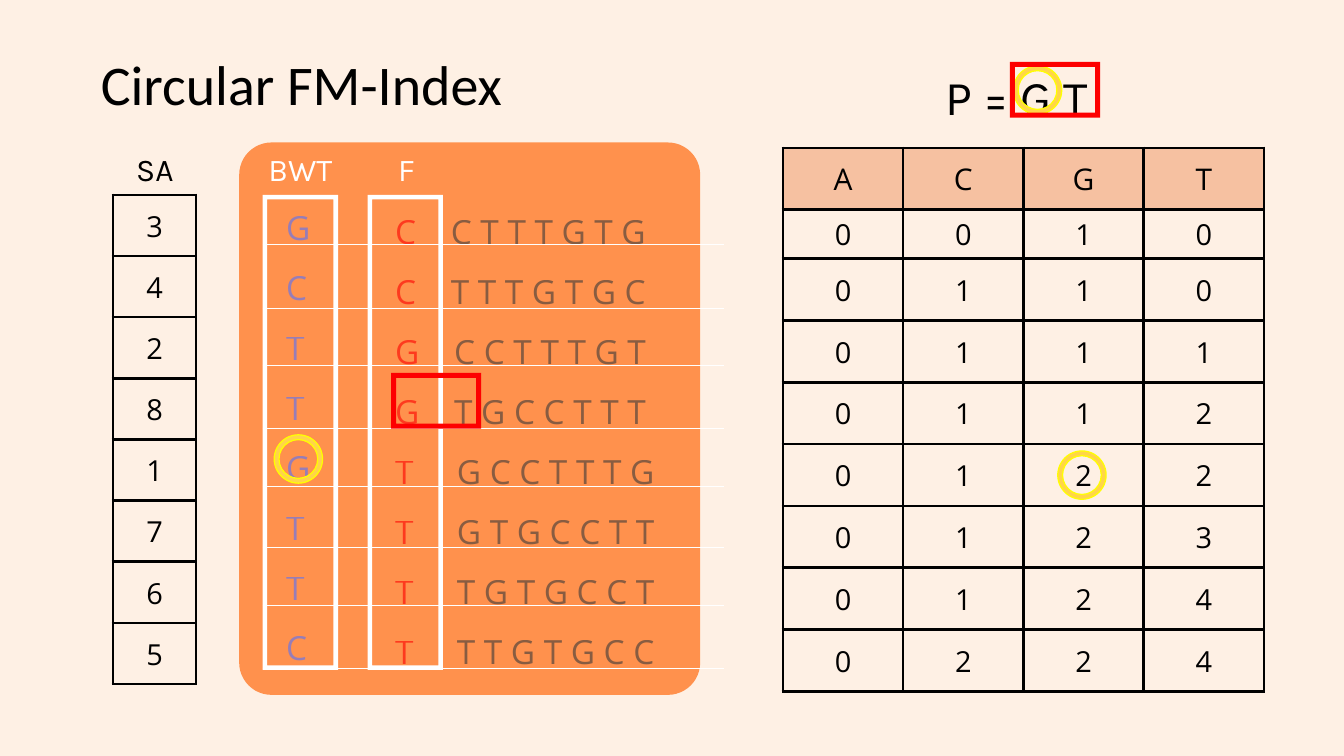
from typing import NamedTuple

from lxml import etree
from pptx import Presentation
from pptx.dml.color import RGBColor
from pptx.enum.shapes import MSO_CONNECTOR, MSO_SHAPE
from pptx.enum.text import MSO_ANCHOR, MSO_AUTO_SIZE, PP_ALIGN
from pptx.oxml.ns import qn
from pptx.util import Inches, Pt

LEFT, CENTER = PP_ALIGN.LEFT, PP_ALIGN.CENTER
TOP, MIDDLE = MSO_ANCHOR.TOP, MSO_ANCHOR.MIDDLE
ROUNDED, FRAME, DONUT = MSO_SHAPE.ROUNDED_RECTANGLE, MSO_SHAPE.FRAME, MSO_SHAPE.DONUT
STRAIGHT = MSO_CONNECTOR.STRAIGHT

CREAM = RGBColor(0xFE, 0xF0, 0xE4)
ORANGE = RGBColor(0xFF, 0x91, 0x4D)
PEACH = RGBColor(0xF6, 0xC1, 0xA1)
WHITE = RGBColor(0xFF, 0xFF, 0xFF)
BLACK = RGBColor(0, 0, 0)
RED = RGBColor(0xFD, 0, 0)
GRAY = RGBColor(0x39, 0x39, 0x39)
BLUE = RGBColor(0x52, 0x71, 0xFF)
GOLD = RGBColor(0xFF, 0xD5, 0x49)
YELLOW = RGBColor(0xFF, 0xFF, 0)


class Label(NamedTuple):
    text: str
    x: float
    y: float
    w: float
    h: float
    size: float
    spacing: float
    color: RGBColor


class Outline(NamedTuple):
    kind: MSO_SHAPE
    x: float
    y: float
    w: float
    h: float
    adjust: float
    fill: RGBColor
    line: RGBColor | None = None


LABELS = [
    Label("BWT", 3.71, 2.14, 1.52, 0.63, 34, 47.6, WHITE),
    Label("F", 5.88, 2.14, 0.34, 0.63, 34, 47.6, WHITE),
    Label("SA", 2, 2.13, 0.61, 0.66, 34, 47.6, BLACK),
    Label("P = G T", 13.57, 0.85, 3.12, 0.96, 52, 72.8, BLACK),
]
PANEL = Outline(ROUNDED, 3.56, 2.12, 6.86, 8.22, 0.07, ORANGE)
COLUMN_FRAMES = [Outline(FRAME, x, 2.9, 1.12, 7.07, 0.06, WHITE) for x in (3.91, 5.47)]
RINGS = [Outline(DONUT, x, y, 0.72, 0.72, 0.1, GOLD, YELLOW)
         for x, y in ((15.08, 0.98), (15.74, 6.71), (4.08, 6.47))]
MATCH_FRAMES = [Outline(FRAME, x, y, 1.34, 0.83, 0.09, RED)
                for x, y in ((15.03, 0.92), (5.82, 5.55))]

BWT = "GCTTGTTC"
ROTATIONS = ["C\tC T T T G T G", "C\tT T T G T G C", "G\tC C T T T G T",
             "G\tT G C C T T T", "T\tG C C T T T G", "T\tG T G C C T T",
             "T\tT G T G C C T", "T\tT T G T G C C"]
TAB_STOPS = {"C": 0.83, "G": 0.88, "T": 0.92}
RULE_YS = [3.64, 4.59, 5.44, 6.37, 7.24, 8.14, 9.01, 9.95]
SUFFIX_ARRAY = [[n] for n in "34281765"]
COUNTS = [list(row) for row in
          ("ACGT", "0010", "0110", "0111", "0112", "0122", "0123", "0124", "0224")]

prs = Presentation()
prs.slide_width, prs.slide_height = Inches(20), Inches(11.25)
s = prs.slides.add_slide(prs.slide_layouts[5])
s.background.fill.solid()
s.background.fill.fore_color.rgb = CREAM


def format_run(r, size: float, name: str, color: RGBColor, alpha: int = 100) -> None:
    for key, value in {"size": Pt(size), "name": name}.items():
        setattr(r.font, key, value)
    r.font.color.rgb = color
    if alpha < 100:
        clr = r.font.fill._xPr.find(qn("a:solidFill"))[0]
        etree.SubElement(clr, qn("a:alpha"), val=str(alpha * 1000))


def format_frame(tf, anchor=TOP) -> None:
    values = {"word_wrap": True, "auto_size": MSO_AUTO_SIZE.NONE,
              "vertical_anchor": anchor, "margin_left": 0, "margin_right": 0,
              "margin_top": 0, "margin_bottom": 0}
    for key, value in values.items():
        setattr(tf, key, value)


def add_text_box(x: float, y: float, w: float, h: float):
    tf = s.shapes.add_textbox(Inches(x), Inches(y), Inches(w), Inches(h)).text_frame
    format_frame(tf)
    return tf


def add_label(label: Label) -> None:
    p = add_text_box(label.x, label.y, label.w, label.h).paragraphs[0]
    p.alignment, p.line_spacing = CENTER, Pt(label.spacing)
    r = p.add_run()
    r.text = label.text
    format_run(r, label.size, "Karla", label.color)


def add_outline(o: Outline) -> None:
    sp = s.shapes.add_shape(o.kind, Inches(o.x), Inches(o.y), Inches(o.w), Inches(o.h))
    sp.shadow.inherit = False
    sp.adjustments[0] = o.adjust
    sp.fill.solid()
    sp.fill.fore_color.rgb = o.fill
    if o.line is None:
        sp.line.fill.background()
    else:
        sp.line.color.rgb = o.line
        sp.line.width = Pt(1.29)


def add_sequences(rows, x: float, y: float, colors: list[RGBColor]) -> None:
    """Draw one line per row; a tab separates the differently coloured parts."""
    tf = add_text_box(x, y, 4.5, 7.15)
    for i, row in enumerate(rows):
        p = tf.paragraphs[0] if i == 0 else tf.add_paragraph()
        p.alignment, p.line_spacing = LEFT, Pt(64.3)
        first, tab, rest = row.partition("\t")
        if tab:
            tabs = etree.SubElement(p._p.get_or_add_pPr(), qn("a:tabLst"))
            etree.SubElement(tabs, qn("a:tab"), pos=str(Inches(TAB_STOPS[first])), algn="l")
        for text, color in zip((first, tab + rest), colors):
            r = p.add_run()
            r.text = text
            format_run(r, 35.7, "Open Sans", color, alpha=60)


def add_borders(cell) -> None:
    tcPr = cell._tc.get_or_add_tcPr()
    for side in ("a:lnL", "a:lnR", "a:lnT", "a:lnB"):
        ln = etree.SubElement(tcPr, qn(side), w=str(Pt(3)))
        fill = etree.SubElement(ln, qn("a:solidFill"))
        etree.SubElement(fill, qn("a:srgbClr"), val=str(BLACK))


def add_grid(rows: list[list[str]], x: float, y: float, col_w: float,
             heights: list[float], margin: float, header: bool) -> None:
    n = len(rows[0])
    table = s.shapes.add_table(len(rows), n, Inches(x), Inches(y),
                               Inches(col_w * n), Inches(sum(heights))).table
    table.first_row = table.horz_banding = False
    for col in table.columns:
        col.width = Inches(col_w)
    for i, (row, height) in enumerate(zip(rows, heights)):
        table.rows[i].height = Inches(height)
        is_head = header and i == 0
        for j, text in enumerate(row):
            cell = table.cell(i, j)
            cell.vertical_anchor = MIDDLE
            for side in ("left", "right", "top", "bottom"):
                setattr(cell, f"margin_{side}", Inches(margin))
            add_borders(cell)
            if is_head:
                cell.fill.solid()
                cell.fill.fore_color.rgb = PEACH
            else:
                cell.fill.background()
            p = cell.text_frame.paragraphs[0]
            p.alignment, p.line_spacing = CENTER, Pt(44.8 if is_head else 43.4)
            r = p.add_run()
            r.text = text
            format_run(r, 32 if is_head else 31, "Open Sans", BLACK)


# Title
title = s.shapes.title
title.left, title.top, title.width, title.height = map(Inches, (1.5, 0.73, 9.54, 1.01))
format_frame(title.text_frame)
p = title.text_frame.paragraphs[0]
p.alignment = LEFT
r = p.add_run()
r.text = "Circular FM-Index"
format_run(r, 60, "Calibri", BLACK)

# Rotations panel
add_outline(PANEL)
add_sequences(ROTATIONS, 5.88, 2.85, [RED, GRAY])
add_sequences(BWT, 4.26, 2.79, [BLUE])
for frame in COLUMN_FRAMES:
    add_outline(frame)
for y in RULE_YS:
    rule = s.shapes.add_connector(STRAIGHT, Inches(3.91), Inches(y), Inches(10.77), Inches(y))
    rule.line.color.rgb = WHITE
    rule.line.width = Pt(0.75)
    etree.SubElement(rule._element.spPr, qn("a:effectLst"))

# Headings, suffix array and occurrence counts
for label in LABELS:
    add_label(label)
add_grid(SUFFIX_ARRAY, 1.68, 2.9, 1.24, [0.91] * 8, 0, header=False)
add_grid(COUNTS, 11.65, 2.2, 1.79, [0.92, 0.73] + [0.92] * 7, 0.01, header=True)

# Match highlights
for mark in RINGS + MATCH_FRAMES:
    add_outline(mark)

prs.save("out.pptx")
